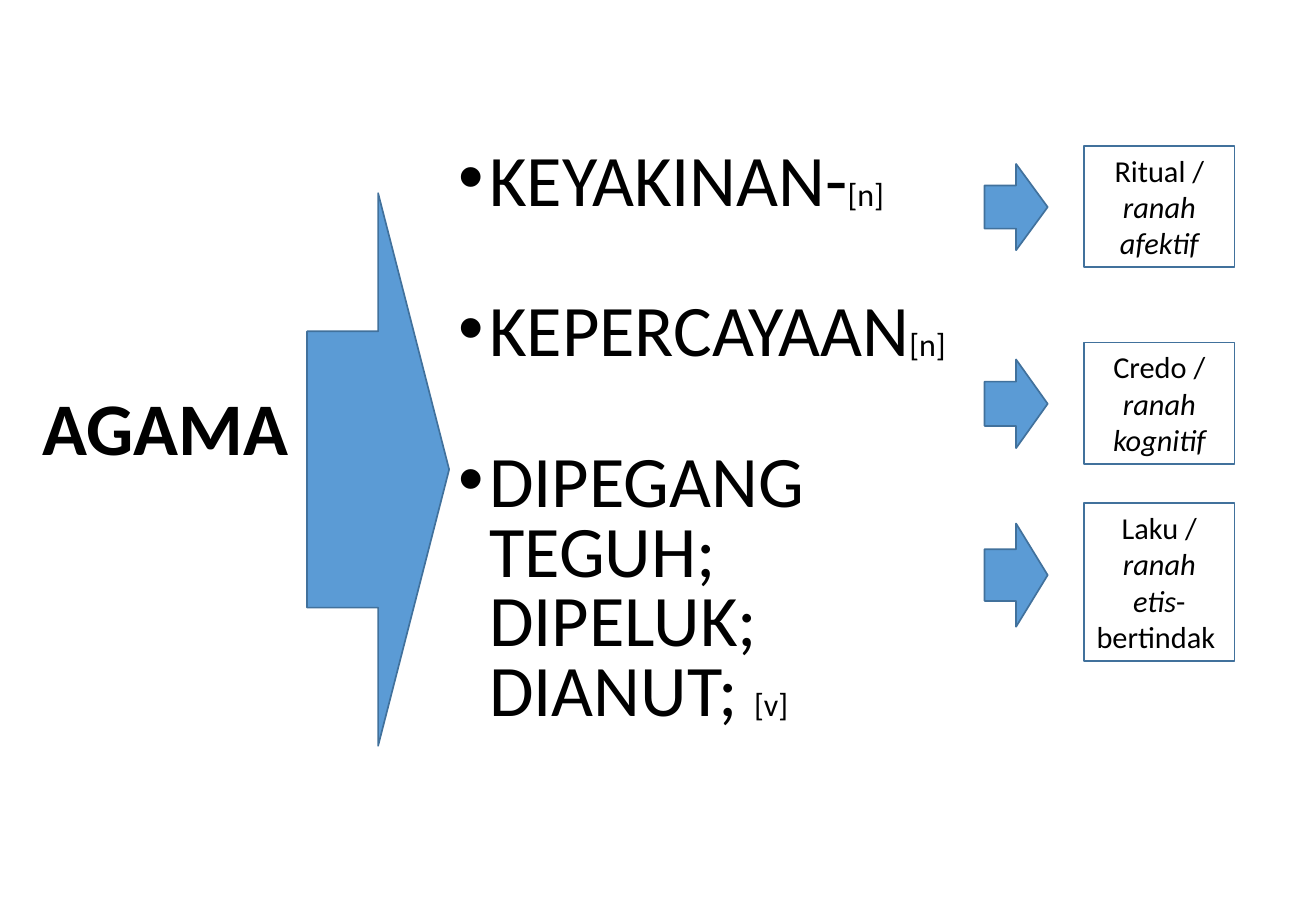
from dataclasses import dataclass

from lxml import etree
from pptx import Presentation
from pptx.dml.color import RGBColor
from pptx.enum.shapes import MSO_SHAPE
from pptx.enum.text import MSO_ANCHOR, MSO_AUTO_SIZE, PP_ALIGN
from pptx.oxml.ns import qn
from pptx.util import Inches, Pt

ARROW = MSO_SHAPE.RIGHT_ARROW
RECT = MSO_SHAPE.RECTANGLE
TOP = MSO_ANCHOR.TOP
MIDDLE = MSO_ANCHOR.MIDDLE
GROW = MSO_AUTO_SIZE.SHAPE_TO_FIT_TEXT
CENTER = PP_ALIGN.CENTER


@dataclass(frozen=True)
class Theme:
    font: str = "Calibri"
    ink: RGBColor = RGBColor(0, 0, 0)
    fill: RGBColor = RGBColor(0x5B, 0x9B, 0xD5)
    edge: RGBColor = RGBColor(0x41, 0x71, 0x9C)
    title: int = 44
    point: int = 43
    tag: int = 19
    label: int = 18
    gap: int = 48


THEME = Theme()


def add_run(para, text, size, bold=False, italic=False):
    run = para.add_run()
    run.text = text
    font = run.font
    font.name, font.size = THEME.font, Pt(size)
    font.bold, font.italic = bold, italic
    font.color.rgb = THEME.ink


def set_frame(frame, side, edge, anchor=TOP):
    frame.word_wrap = True
    frame.vertical_anchor = anchor
    frame.margin_left = frame.margin_right = Inches(side)
    frame.margin_top = frame.margin_bottom = Inches(edge)


def add_text(slide, spot, anchor=TOP):
    frame = slide.shapes.add_textbox(*map(Inches, spot)).text_frame
    set_frame(frame, 0.08, 0.04, anchor)
    return frame


def add_title(slide, spot, text):
    para = add_text(slide, spot, MIDDLE).paragraphs[0]
    para.line_spacing = 0.9
    add_run(para, text, THEME.title, bold=True)


def add_bullet(para):
    props = para._p.get_or_add_pPr()
    props.set("marL", str(Inches(0.25)))
    props.set("indent", str(Inches(-0.25)))
    etree.SubElement(props, qn("a:buFont")).set("typeface", "Arial")
    etree.SubElement(props, qn("a:buChar")).set("char", "•")


def add_points(slide, spot, points):
    frame = add_text(slide, spot)
    for index, (text, tag) in enumerate(points):
        para = frame.add_paragraph() if index else frame.paragraphs[0]
        add_bullet(para)
        para.line_spacing = 0.8
        if index:
            para.space_before = Pt(THEME.gap)
        add_run(para, text, THEME.point)
        add_run(para, tag, THEME.tag)


def add_form(slide, kind, spot):
    form = slide.shapes.add_shape(kind, *map(Inches, spot))
    form.shadow.inherit = False
    form.line.color.rgb = THEME.edge
    form.line.width = Pt(1)
    return form


def add_arrow(slide, spot):
    form = add_form(slide, ARROW, spot)
    form.fill.solid()
    form.fill.fore_color.rgb = THEME.fill


def add_label(slide, spot, head, domain, tail):
    form = add_form(slide, RECT, spot)
    form.fill.background()
    frame = form.text_frame
    set_frame(frame, 0.1, 0.05)
    frame.auto_size = GROW
    para = frame.paragraphs[0]
    para.alignment = CENTER
    add_run(para, head, THEME.label)
    add_run(para, domain, THEME.label, italic=True)
    if tail:
        add_run(para, tail, THEME.label)


def main():
    deck = Presentation()
    deck.slide_width, deck.slide_height = Inches(10.84), Inches(7.5)
    slide = deck.slides.add_slide(deck.slide_layouts[6])

    add_title(slide, (0.27, 2.96, 2.77, 1.18), "AGAMA")
    add_points(slide, (3.7, 1.2, 4.4, 5.32), [
        ("KEYAKINAN-", "[n]"),
        ("KEPERCAYAAN", "[n]"),
        ("DIPEGANG TEGUH; DIPELUK; DIANUT; ", "[v]"),
    ])
    add_arrow(slide, (2.53, 1.59, 1.17, 4.55))

    rows = [
        ((1.35, 0.71), (1.2, 1), ("Ritual / ", "ranah afektif", "")),
        ((2.96, 0.73), (2.82, 1), ("Credo / ", "ranah kognitif", "")),
        ((4.31, 0.85), (4.14, 1.3), ("Laku / ", "ranah etis", "-bertindak ")),
    ]
    for (top, high), (y, tall), words in rows:
        add_arrow(slide, (8.11, top, 0.52, high))
        add_label(slide, (8.93, y, 1.24, tall), *words)

    deck.save("out.pptx")


if __name__ == "__main__":
    main()
